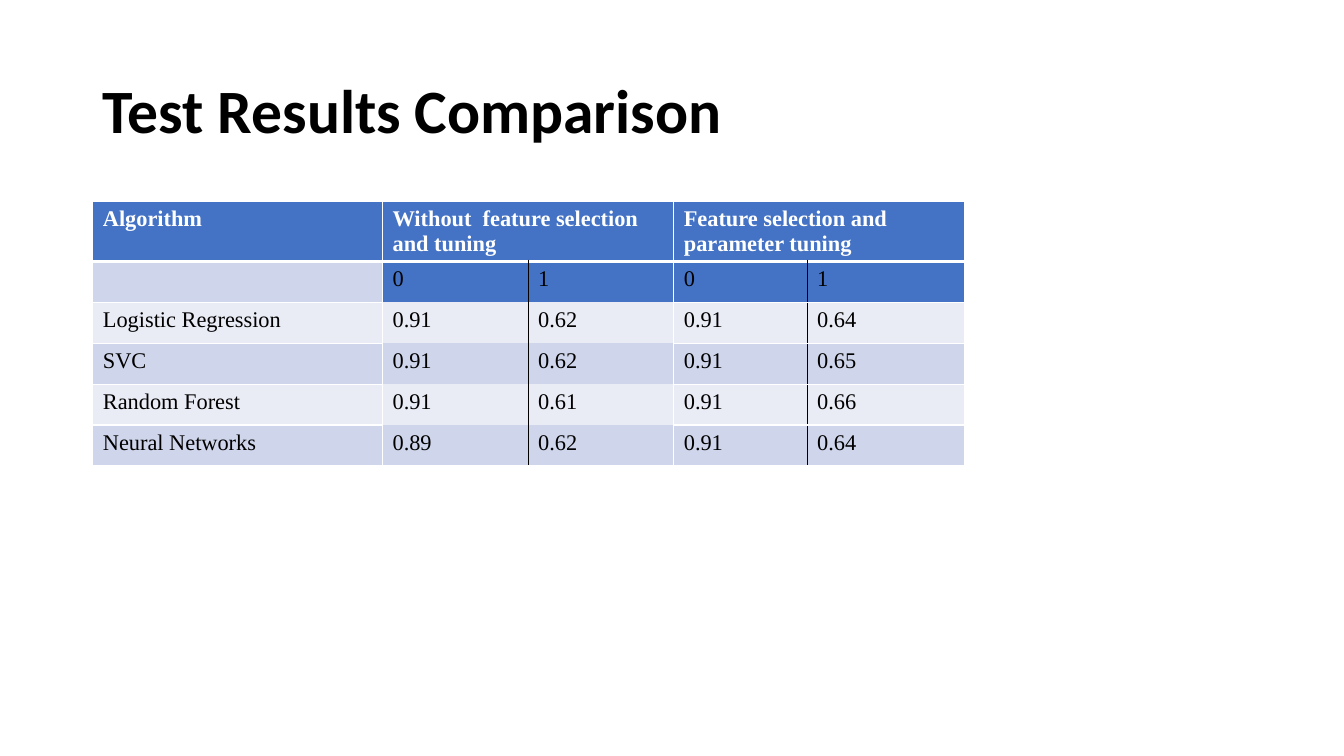
from dataclasses import dataclass

from lxml.etree import SubElement
from pptx import Presentation
from pptx.dml.color import RGBColor as RGB
from pptx.enum.text import MSO_ANCHOR as ANCHOR, PP_ALIGN as ALIGN
from pptx.oxml.ns import qn
from pptx.util import Cm, Pt

COLORS = {
    "black": "000000",
    "white": "FFFFFF",
    "header": "4472C4",
    "band_dark": "CFD5EA",
    "band_light": "E9EBF5",
}
COLUMN_WIDTHS = (7.3, 3.67, 3.67, 3.36, 3.96)
HEADER_HEIGHT, ROW_HEIGHT = 1.48, 1.03
HEADINGS = {
    0: "Algorithm",
    1: "Without  feature selection and tuning",
    3: "Feature selection and parameter tuning",
}


@dataclass(frozen=True)
class Result:
    """One table row: an algorithm and its scores per class and setup."""
    algorithm: str
    scores: tuple[str, ...]


RESULTS = (
    Result("", ("0", "1", "0", "1")),
    Result("Logistic Regression", ("0.91", "0.62", "0.91", "0.64")),
    Result("SVC", ("0.91", "0.62", "0.91", "0.65")),
    Result("Random Forest", ("0.91", "0.61", "0.91", "0.66")),
    Result("Neural Networks", ("0.89", "0.62", "0.91", "0.64")),
)


def write(tf, text: str, *, size: float = 16, font: str = "Times New Roman",
          color: str = "black", bold: bool = False) -> None:
    """Put one left-aligned run of formatted text in a text frame."""
    p = tf.paragraphs[0]
    p.alignment = ALIGN.LEFT
    r = p.add_run()
    r.text = text
    r.font.size, r.font.name, r.font.bold = Pt(size), font, bold
    r.font.color.rgb = RGB.from_string(COLORS[color])


def set_border(cell, index: int, side: str, color: str | None, width: float) -> None:
    """Draw one side of a cell, or clear it when color is None."""
    tc_pr = cell._tc.get_or_add_tcPr()
    ln = SubElement(tc_pr, qn(f"a:ln{side}"), w=str(Pt(width)))
    if color is None:
        SubElement(ln, qn("a:noFill"))
    else:
        fill = SubElement(ln, qn("a:solidFill"))
        SubElement(fill, qn("a:srgbClr"), val=COLORS[color])
    tc_pr.insert(index, ln)


def style_cell(cell, row: int, col: int) -> None:
    """Fill a cell and set its four borders by its place in the table."""
    if row == 0 or (row == 1 and col > 0):
        fill = "header"
    else:
        fill = "band_dark" if row % 2 else "band_light"
    cell.fill.solid()
    cell.fill.fore_color.rgb = RGB.from_string(COLORS[fill])

    below_header = row > 0
    open_rows = col in (1, 2)
    last = row == len(RESULTS)
    sides = {
        "L": ("black" if below_header and col in (2, 4) else "white", 1),
        "R": ("black" if below_header and col in (1, 3) else "white", 1),
        "T": (None if open_rows and row > 1 else "white", 3 if row == 1 else 1),
        "B": (None if open_rows and below_header and not last else "white",
              1 if below_header else 3),
    }
    for index, (side, (color, width)) in enumerate(sides.items()):
        set_border(cell, index, side, color, width)


def add_results_table(slide) -> None:
    """Add the table that compares the scores of all algorithms."""
    height = HEADER_HEIGHT + ROW_HEIGHT * len(RESULTS)
    table = slide.shapes.add_table(
        len(RESULTS) + 1, len(COLUMN_WIDTHS), Cm(2.34), Cm(5.08),
        Cm(sum(COLUMN_WIDTHS)), Cm(height)).table
    for column, width in zip(table.columns, COLUMN_WIDTHS):
        column.width = Cm(width)
    for i, row in enumerate(table.rows):
        row.height = Cm(ROW_HEIGHT if i else HEADER_HEIGHT)
        for j, cell in enumerate(row.cells):
            style_cell(cell, i, j)

    for col in (1, 3):
        table.cell(0, col).merge(table.cell(0, col + 1))
    for col, text in HEADINGS.items():
        write(table.cell(0, col).text_frame, text, color="white", bold=True)
    for i, result in enumerate(RESULTS, start=1):
        for j, text in enumerate((result.algorithm, *result.scores)):
            if text:
                write(table.cell(i, j).text_frame, text)


def add_title(slide, text: str) -> None:
    """Place and format the title placeholder."""
    sp = slide.shapes.title
    sp.left, sp.top, sp.width, sp.height = Cm(2.33), Cm(1.01), Cm(29.21), Cm(3.68)
    tf = sp.text_frame
    tf.vertical_anchor = ANCHOR.MIDDLE
    write(tf, text, size=44, font="Calibri", bold=True)
    tf.paragraphs[0].line_spacing = 0.9


def main() -> None:
    """Build the slide and save it."""
    prs = Presentation()
    prs.slide_width, prs.slide_height = Cm(33.87), Cm(19.05)
    slide = prs.slides.add_slide(prs.slide_layouts[5])
    add_title(slide, "Test Results Comparison")
    add_results_table(slide)
    prs.save("out.pptx")


main()
